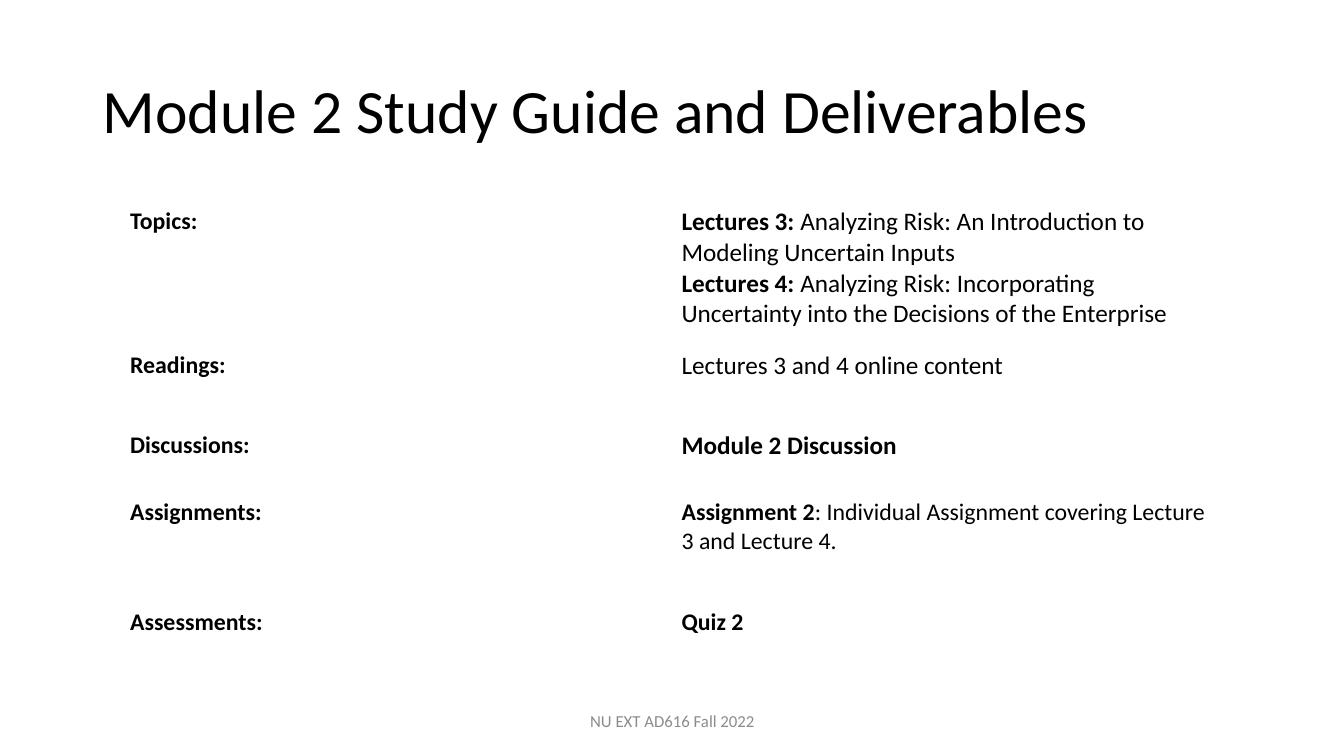
from dataclasses import dataclass

from pptx import Presentation
from pptx import util as u
from pptx.dml.color import RGBColor
from pptx.enum import text as t

PX = 9144  # EMU: 100 px to the inch
FONT = "Calibri"
COLORS = {"ink": "000000", "footer": "8C8C8C"}


@dataclass
class Run:
    text: str
    bold: bool = False
    break_after: bool = False


@dataclass
class GuideRow:
    label: str
    details: list[Run]
    height: int
    size: int = 18


COLUMN_WIDTH = 547
GUIDE = [
    GuideRow("Topics:", [
        Run("Lectures 3:", bold=True),
        Run(" Analyzing Risk: An Introduction to Modeling Uncertain Inputs", break_after=True),
        Run("Lectures 4: ", bold=True),
        Run("Analyzing Risk: Incorporating Uncertainty into the Decisions of the Enterprise"),
    ], 143),
    GuideRow("Readings:", [Run("Lectures 3 and 4 online content")], 79),
    GuideRow("Discussions:", [Run("Module 2 Discussion", bold=True)], 67),
    GuideRow("Assignments:", [
        Run("Assignment 2", bold=True),
        Run(": Individual Assignment covering Lecture 3 and Lecture 4."),
    ], 109, size=17),
    GuideRow("Assessments:", [Run("Quiz 2", bold=True)], 38, size=17),
]


def px(*lengths: int) -> list[u.Emu]:
    return [u.Emu(length * PX) for length in lengths]


def write(frame, runs: list[Run], *, size: int, color: str = "ink",
          align=t.PP_ALIGN.LEFT, anchor=t.MSO_ANCHOR.TOP, line_spacing: float = 1.0) -> None:
    frame.word_wrap = True
    frame.vertical_anchor = anchor
    paragraph = frame.paragraphs[0]
    paragraph.alignment = align
    paragraph.line_spacing = line_spacing
    for item in runs:
        run = paragraph.add_run()
        run.text = item.text
        run.font.name = FONT
        run.font.size = u.Pt(size)
        run.font.bold = item.bold
        run.font.color.rgb = RGBColor.from_string(COLORS[color])
        if item.break_after:
            paragraph.add_line_break()


def add_title(slide, title_text: str) -> None:
    title = slide.shapes.title
    title.left, title.top, title.width, title.height = px(92, 40, 1150, 145)
    title.text_frame.auto_size = t.MSO_AUTO_SIZE.NONE
    write(title.text_frame, [Run(title_text)], size=44,
          anchor=t.MSO_ANCHOR.MIDDLE, line_spacing=0.9)


def add_guide_table(slide, rows: list[GuideRow]) -> None:
    height = sum(row.height for row in rows)
    table = slide.shapes.add_table(
        len(rows), 2, *px(119, 200, 2 * COLUMN_WIDTH, height)).table
    table.first_row = table.horz_banding = False
    for column in table.columns:
        column.width = px(COLUMN_WIDTH)[0]
    for index, row in enumerate(rows):
        table.rows[index].height = px(row.height)[0]
        contents = [([Run(row.label, bold=True)], 17), (row.details, row.size)]
        for column_index, (runs, size) in enumerate(contents):
            cell = table.cell(index, column_index)
            cell.fill.background()
            write(cell.text_frame, runs, size=size)


def add_footer(slide, footer_text: str) -> None:
    footer = slide.shapes.add_textbox(*px(442, 695, 450, 40))
    write(footer.text_frame, [Run(footer_text)], size=12, color="footer",
          align=t.PP_ALIGN.CENTER, anchor=t.MSO_ANCHOR.MIDDLE)


def main() -> None:
    presentation = Presentation()
    presentation.slide_width, presentation.slide_height = px(1333, 750)
    slide = presentation.slides.add_slide(presentation.slide_layouts.get_by_name("Title Only"))
    add_title(slide, "Module 2 Study Guide and Deliverables")
    add_guide_table(slide, GUIDE)
    add_footer(slide, "NU EXT AD616 Fall 2022")
    presentation.save("out.pptx")


if __name__ == "__main__":
    main()
